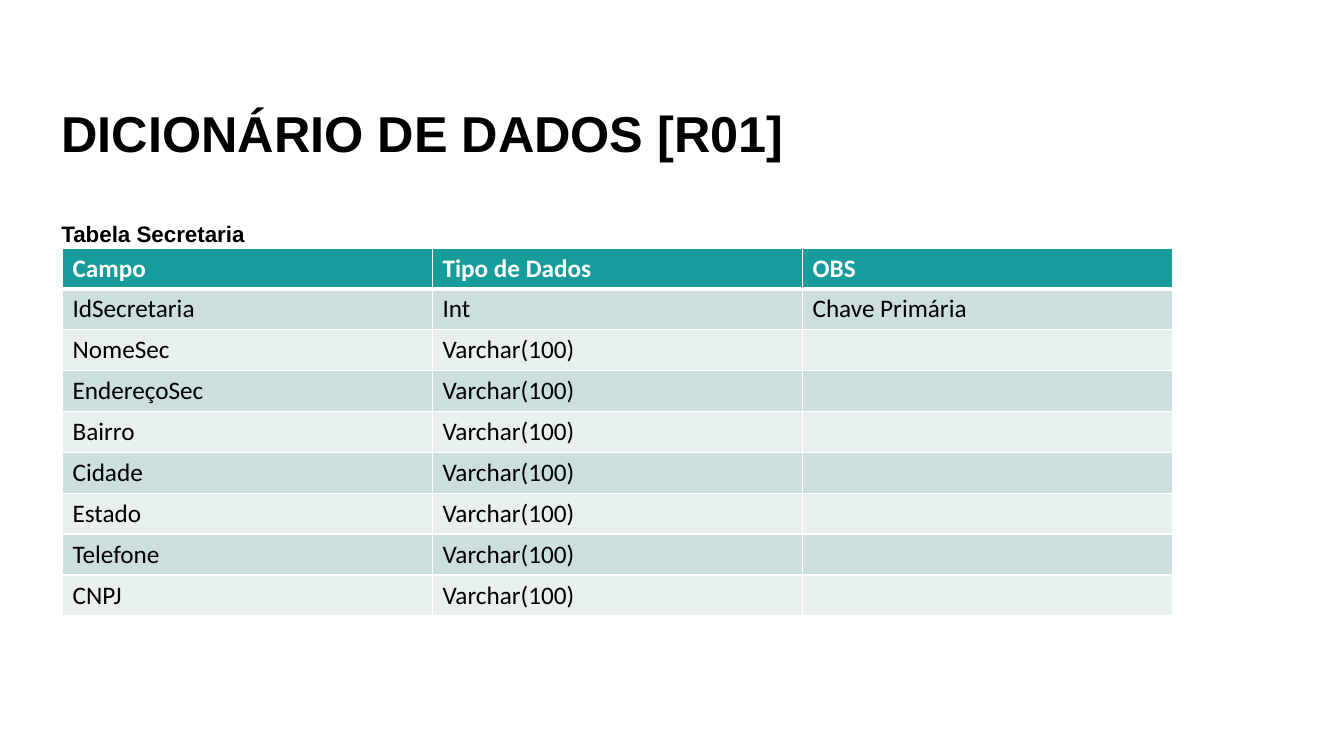
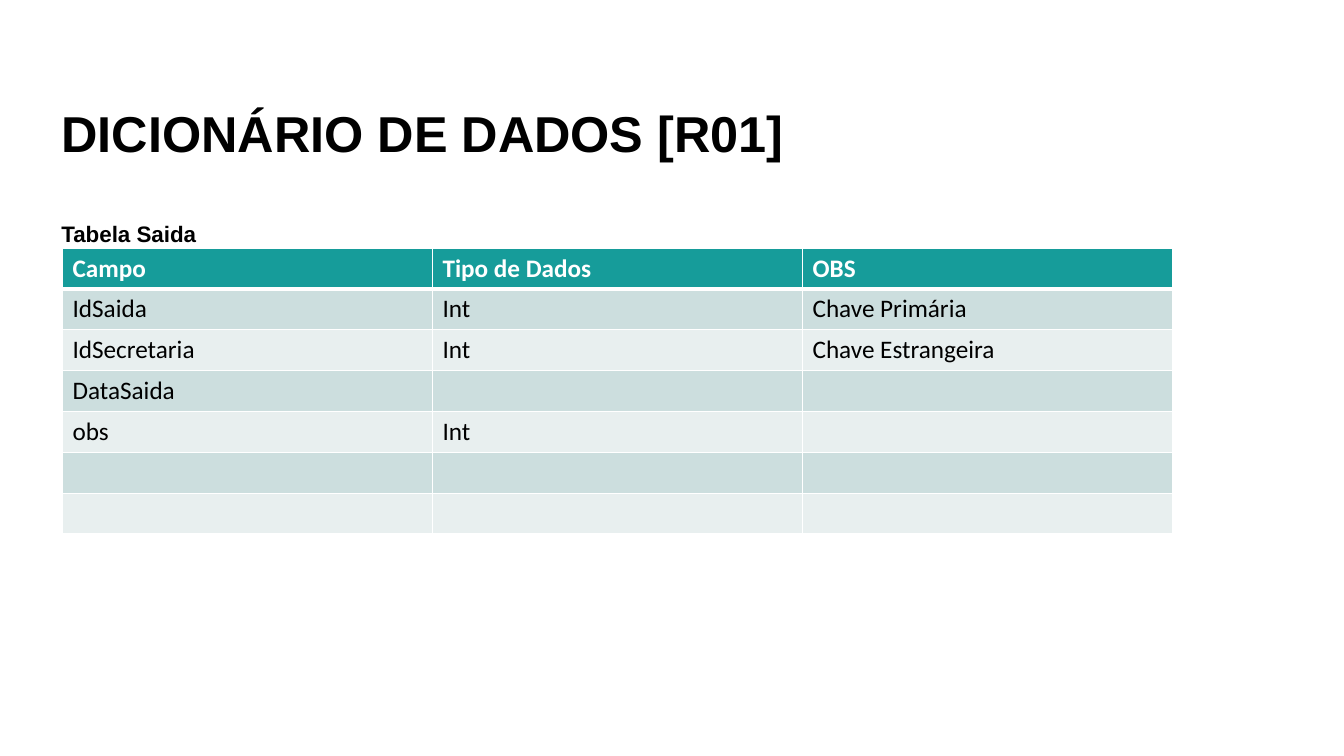
from lxml import etree
from pptx import Presentation
from pptx import util as u
from pptx.dml.color import RGBColor
from pptx.enum import text
from pptx.oxml.ns import qn

WIDTH, HEIGHT = u.Inches(13.33), u.Inches(7.5)
ROW_HEIGHT = HEIGHT / 18.5
COLORS = {"ink": "000000", "paper": "FFFFFF", "header": "169C9A",
          "odd": "CCDEDE", "even": "E8EFEF"}
HEADINGS = ("Campo", "Tipo de Dados", "OBS")
TITLE = "DICIONÁRIO DE DADOS [R01]"
TITLE_BOX = tuple(u.Inches(n) for n in (0.51, 0, 11.5, 1.67))
CAPTION_BOX = tuple(u.Inches(n) for n in (0.51, 0.83, 11.5, 1.67))
TABLE_BOX = tuple(u.Inches(n) for n in (0.62, 2.46, 11.01))
SECRETARIA = [("IdSecretaria", "Int", "Chave Primária")] + [
    (field, "Varchar(100)", "")
    for field in ("NomeSec", "EndereçoSec", "Bairro", "Cidade", "Estado",
                  "Telefone", "CNPJ")]
SAIDA = [("IdSaida", "Int", "Chave Primária"),
         ("IdSecretaria", "Int", "Chave Estrangeira"),
         ("DataSaida", "", ""), ("obs", "Int", ""),
         ("", "", ""), ("", "", "")]


def write(frame, words, size, font="Arial", color="ink", bold=True):
    """Write one left-aligned paragraph and return it."""
    para = frame.paragraphs[0]
    para.alignment = text.PP_ALIGN.LEFT
    span = para.add_run()
    span.text = words
    span.font.size, span.font.name, span.font.bold = u.Pt(size), font, bold
    span.font.color.rgb = RGBColor.from_string(COLORS[color])
    return para


def add_heading(shape, box, words, size):
    """Place a title or caption whose text rests on the bottom of its box."""
    shape.left, shape.top, shape.width, shape.height = box
    frame = shape.text_frame
    frame.word_wrap = True
    frame.auto_size = text.MSO_AUTO_SIZE.NONE
    frame.vertical_anchor = text.MSO_ANCHOR.BOTTOM
    para = write(frame, words, size)
    para.line_spacing, para.space_before = 0.9, u.Pt(25)


def add_borders(cell, top, bottom):
    """Draw white borders, one point wide at the sides."""
    properties = cell._tc.get_or_add_tcPr()
    for side, width in (("L", 1), ("R", 1), ("T", top), ("B", bottom)):
        line = etree.SubElement(properties, qn(f"a:ln{side}"), w=str(u.Pt(width)))
        fill = etree.SubElement(line, qn("a:solidFill"))
        etree.SubElement(fill, qn("a:srgbClr"), val=COLORS["paper"])


def add_field_table(page, box, records):
    """Add a banded table under a header row."""
    rows = [HEADINGS, *records]
    left, top, width = box
    table = page.shapes.add_table(len(rows), len(HEADINGS), left, top, width,
                                  round(ROW_HEIGHT * len(rows))).table
    for r, values in enumerate(rows):
        header = r == 0
        band = "header" if header else ("even", "odd")[r % 2]
        for c, words in enumerate(values):
            cell = table.cell(r, c)
            add_borders(cell, 3 if r == 1 else 1, 3 if header else 1)
            cell.fill.solid()
            cell.fill.fore_color.rgb = RGBColor.from_string(COLORS[band])
            if words:
                write(cell.text_frame, words, 18, font="Calibri", bold=header,
                      color="paper" if header else "ink")


def add_dictionary_slide(deck, caption, records):
    """Add a slide that describes the fields of one database table."""
    page = deck.slides.add_slide(deck.slide_layouts[5])
    add_heading(page.shapes.title, TITLE_BOX, TITLE, 36)
    add_field_table(page, TABLE_BOX, records)
    add_heading(page.shapes.add_textbox(*CAPTION_BOX), CAPTION_BOX, caption, 16)


def main():
    """Build and save the deck."""
    deck = Presentation()
    deck.slide_width, deck.slide_height = WIDTH, HEIGHT
    add_dictionary_slide(deck, "Tabela Secretaria", SECRETARIA)
    add_dictionary_slide(deck, "Tabela Saida", SAIDA)
    deck.save("out.pptx")


if __name__ == "__main__":
    main()
